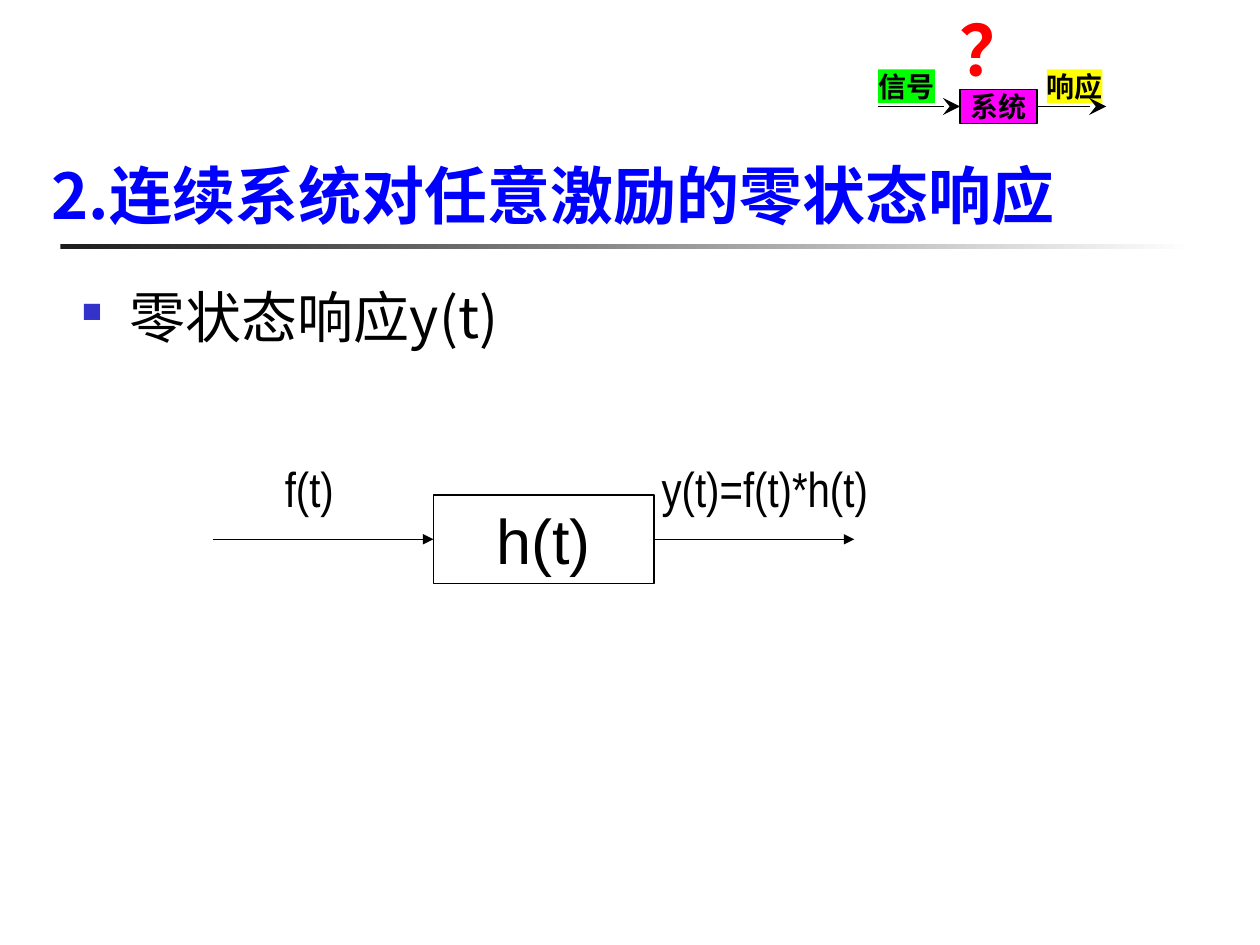
"""Build a slide on the zero-state response of a continuous system."""
from lxml.etree import SubElement
from pptx import Presentation
from pptx.dml.color import RGBColor
from pptx.enum.shapes import MSO_CONNECTOR, MSO_SHAPE
from pptx.enum.text import MSO_ANCHOR, PP_ALIGN
from pptx.oxml import parse_xml
from pptx.oxml.ns import nsdecls, qn
from pptx.util import Inches, Pt

BLACK = RGBColor(0, 0, 0)
DARK = RGBColor(0x1C, 0x1C, 0x1C)
WHITE = RGBColor(255, 255, 255)
GREEN = RGBColor(0, 255, 0)
YELLOW = RGBColor(255, 255, 0)
PINK = RGBColor(255, 0, 255)
RED = RGBColor(255, 0, 0)
BLUE = RGBColor(0, 0, 255)
SANS = "Noto Sans CJK SC"
LEFT, MID = PP_ALIGN.LEFT, PP_ALIGN.CENTER
TOP, CENTER, LOW = MSO_ANCHOR.TOP, MSO_ANCHOR.MIDDLE, MSO_ANCHOR.BOTTOM

deck = Presentation()
deck.slide_width, deck.slide_height = Inches(10), Inches(7.5)
cell = deck.slide_width / 100
slide = deck.slides.add_slide(deck.slide_layouts[6])
shapes = slide.shapes


def add_box(area, fill=None, line=None):
    box = shapes.add_shape(MSO_SHAPE.RECTANGLE, *(int(n * cell) for n in area))
    box.shadow.inherit = False
    if fill:
        box.fill.solid()
        box.fill.fore_color.rgb = fill
    else:
        box.fill.background()
    if line:
        box.line.color.rgb = line
        box.line.width = Pt(0.75)
    else:
        box.line.fill.background()
    return box


def write(box, text, size, face, color=BLACK, bold=False, align=LEFT,
          anchor=CENTER, wrap=False):
    frame = box.text_frame
    frame.word_wrap = wrap
    frame.vertical_anchor = anchor
    para = frame.paragraphs[0]
    para.text = text
    para.alignment = align
    font = para.font
    font.size, font.bold, font.name = Pt(size), bold, face
    font.color.rgb = color
    props = para._p.pPr.find(qn("a:defRPr"))
    SubElement(props, qn("a:ea")).set("typeface", SANS)
    return para


rule = add_box((4.8, 19.4, 90, 0.4))
rule.fill.gradient()
rule.fill.gradient_angle = 0
for stop, color, place in zip(rule.fill.gradient_stops, (DARK, WHITE), (0, 1)):
    stop.color.rgb = color
    stop.position = place

labels = [
    ("信号", (69.7, 5.5, 4.5, 2.7), GREEN, None, LEFT),
    ("响应", (83.1, 5.5, 4.4, 2.7), YELLOW, None, LEFT),
    ("系统", (76.2, 7.1, 6.1, 2.7), PINK, BLACK, MID),
]
for text, area, fill, edge, align in labels:
    system = add_box(area, fill, edge)
    frame = system.text_frame
    frame.margin_left = frame.margin_right = 0
    frame.margin_top = frame.margin_bottom = 0
    write(system, text, 16, SANS, bold=True, align=align)

filter_box = add_box((34.4, 39.3, 17.5, 7), line=BLACK)
write(filter_box, "h(t)", 36, "Arial", align=MID)

flows = [(system, 69.7, 87.8, "stealth", "lg"),
         (filter_box, 16.9, 67.8, "triangle", "med")]
for box, start, end, head, size in flows:
    level = box.top + box.height // 2
    for x, side in ((start, 1), (end, 3)):
        x = int(x * cell)
        arrow = shapes.add_connector(MSO_CONNECTOR.STRAIGHT, x, level, x, level)
        if side == 1:
            arrow.end_connect(box, side)
        else:
            arrow.begin_connect(box, side)
        arrow.line.color.rgb = BLACK
        arrow.line.width = Pt(0.75)
        tail = SubElement(arrow.line._get_or_add_ln(), qn("a:tailEnd"))
        for key, value in (("type", head), ("w", size), ("len", size)):
            tail.set(key, value)
        SubElement(arrow._element.spPr, qn("a:effectLst"))

texts = [
    ("？", (75.2, 0, 7.5, 7.7), 40, "Times New Roman", RED, True, LEFT, CENTER, False),
    ("2.连续系统对任意激励的零状态响应", (3.1, 10.2, 93.4, 8.7), 36, SANS, BLUE, True,
     LEFT, LOW, True),
    ("f(t)", (21.6, 35.9, 5.9, 5.7), 28, "Arial Narrow", BLACK, False, MID, CENTER, False),
    ("y(t)=f(t)*h(t)", (50.7, 35.9, 20, 5.7), 28, "Arial Narrow", BLACK, False,
     MID, CENTER, False),
    ("零状态响应y(t)", (5.5, 21.9, 85, 45), 32, SANS, BLACK, False, LEFT, TOP, True),
]
for text, area, *style in texts:
    box = shapes.add_textbox(*(int(n * cell) for n in area))
    para = write(box, text, *style)

para.space_before = Pt(8)
props = para._p.pPr
props.set("marL", str(Inches(0.38)))
props.set("indent", str(-Inches(0.38)))
for mark in ('<a:buClr {}><a:srgbClr val="3333CC"/></a:buClr>',
             '<a:buSzPct {} val="50000"/>', '<a:buChar {} char="■"/>'):
    props[-1].addprevious(parse_xml(mark.format(nsdecls("a"))))

deck.save("out.pptx")
